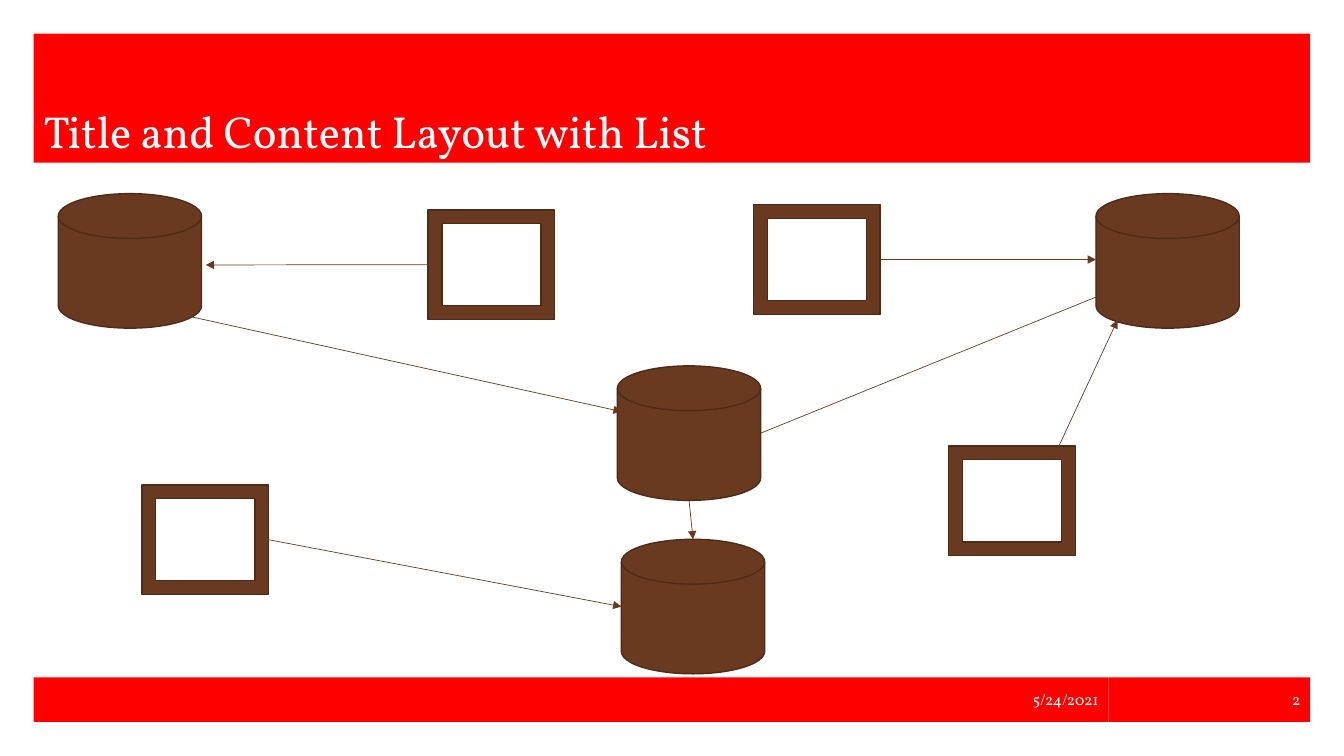
from lxml import etree
from pptx import Presentation
from pptx import util as u
from pptx.dml.color import RGBColor
from pptx.enum import shapes, text
from pptx.oxml.ns import qn

FONT = "Vollkorn"
COLORS = {"band": "FF0000", "text": "FFFFFF", "brown": "6A3A20", "edge": "4E2B18"}

BANDS = [
    ("Title and Content Layout with List", (0.85, 0.85, 32.17, 3.25), 32,
     text.MSO_ANCHOR.BOTTOM, text.PP_ALIGN.LEFT),
    ("5/24/2021", (0.85, 17.07, 27.09, 1.12), 11,
     text.MSO_ANCHOR.MIDDLE, text.PP_ALIGN.RIGHT),
    ("2", (27.94, 17.07, 5.08, 1.12), 11,
     text.MSO_ANCHOR.MIDDLE, text.PP_ALIGN.RIGHT),
]

DISK = (shapes.MSO_SHAPE.FLOWCHART_MAGNETIC_DISK, 3.61, 3.39)
FRAME = (shapes.MSO_SHAPE.FRAME, 3.19, 2.76)
NODES = {
    "left disk": (DISK, 1.47, 4.88),
    "bottom disk": (DISK, 15.66, 13.59),
    "right disk": (DISK, 27.62, 4.88),
    "center disk": (DISK, 15.56, 9.22),
    "upper left frame": (FRAME, 10.79, 5.29),
    "upper right frame": (FRAME, 18.99, 5.16),
    "lower right frame": (FRAME, 23.91, 11.24),
    "lower left frame": (FRAME, 3.58, 12.22),
}

# Each end is a node with the fractions of its width and height.
LINKS = [
    (("upper left frame", 0, 0.5), ("left disk", 1.03, 0.53)),
    (("lower left frame", 1, 0.5), ("bottom disk", 0, 0.5)),
    (("upper right frame", 1, 0.5), ("right disk", 0, 0.49)),
    (("lower right frame", 0.87, 0), ("right disk", 0.15, 0.94)),
    (("left disk", 0.82, 0.89), ("center disk", 0.03, 0.34)),
    (("center disk", 1, 0.5), ("right disk", 0.09, 0.73)),
    (("center disk", 0.5, 1), ("bottom disk", 0.5, 0)),
]


def rgb(name):
    return RGBColor.from_string(COLORS[name])


def add_filled(s, kind, box, fill):
    sp = s.shapes.add_shape(kind, *map(u.Cm, box))
    sp.shadow.inherit = False
    sp.fill.solid()
    sp.fill.fore_color.rgb = rgb(fill)
    return sp


def add_band(s, label, box, size, anchor, align):
    sp = add_filled(s, shapes.MSO_SHAPE.RECTANGLE, box, "band")
    sp.line.fill.background()
    tf = sp.text_frame
    tf.text = label
    tf.word_wrap = True
    tf.vertical_anchor = anchor
    p = tf.paragraphs[0]
    p.alignment = align
    r = p.runs[0]
    r.font.name = FONT
    r.font.size = u.Pt(size)
    r.font.color.rgb = rgb("text")


def add_node(s, node):
    (kind, width, height), left, top = node
    sp = add_filled(s, kind, (left, top, width, height), "brown")
    sp.line.color.rgb = rgb("edge")
    sp.line.width = u.Pt(1)


def anchor_point(name, fx, fy):
    (_, width, height), left, top = NODES[name]
    return u.Cm(left + fx * width), u.Cm(top + fy * height)


def add_link(s, start, end):
    link = s.shapes.add_connector(
        shapes.MSO_CONNECTOR.STRAIGHT, *anchor_point(*start), *anchor_point(*end))
    link.line.color.rgb = rgb("brown")
    link.line.width = u.Pt(0.5)
    etree.SubElement(link.line._get_or_add_ln(), qn("a:tailEnd"), type="triangle")
    etree.SubElement(link._element.spPr, qn("a:effectLst"))


def main():
    prs = Presentation()
    prs.slide_width, prs.slide_height = u.Cm(33.87), u.Cm(19.05)
    s = prs.slides.add_slide(prs.slide_layouts[6])
    for band in BANDS:
        add_band(s, *band)
    for node in NODES.values():
        add_node(s, node)
    for start, end in LINKS:
        add_link(s, start, end)
    prs.save("out.pptx")


if __name__ == "__main__":
    main()
